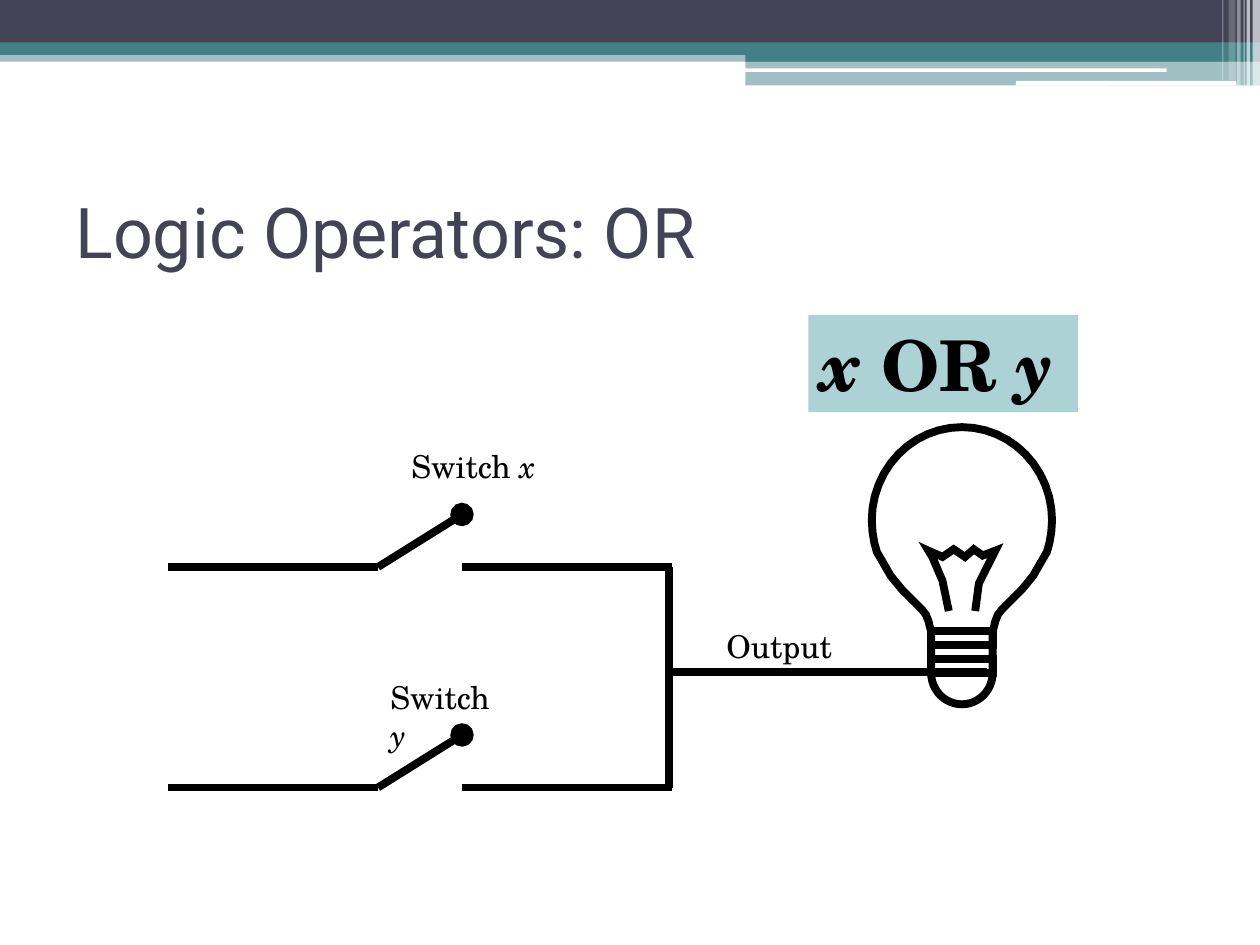
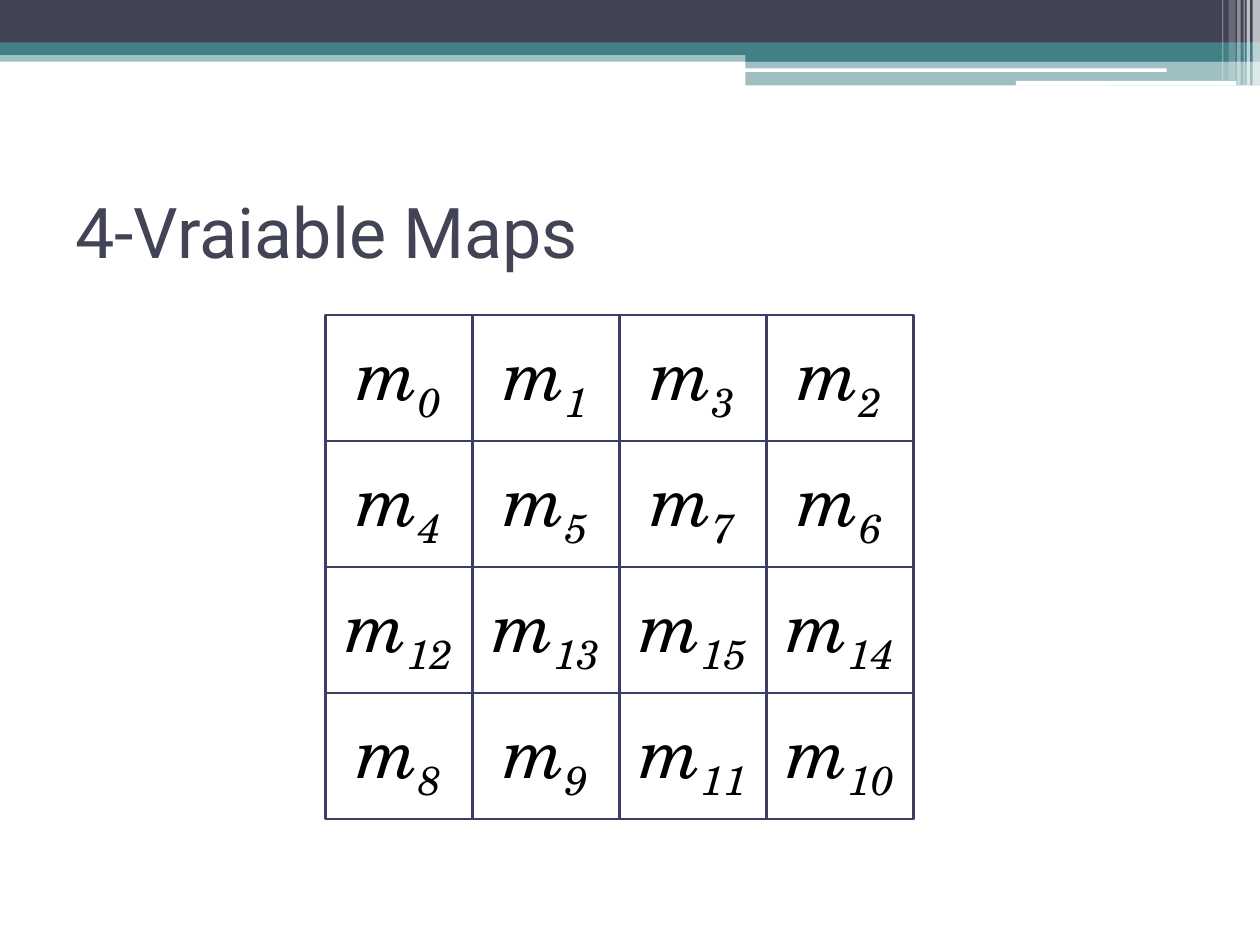
from dataclasses import dataclass
from math import cos, pi, sin

from lxml.etree import SubElement
from pptx import Presentation
from pptx.dml.color import RGBColor
from pptx.enum.shapes import MSO_CONNECTOR, MSO_SHAPE
from pptx.enum.text import MSO_ANCHOR, PP_ALIGN
from pptx.oxml.ns import qn
from pptx.util import Pt


@dataclass(frozen=True)
class Theme:
    """Colours, fonts and sizes shared by the slides."""
    navy: str = "424456"
    teal: str = "438086"
    pale: str = "ADD2D6"
    grid: str = "3D3E66"
    white: str = "FFFFFF"
    ink: str = "000000"
    title_font: str = "Roboto"
    body_font: str = "TeX Gyre Schola"
    large: int = 40
    small: int = 18
    wire: float = 4.5
    rule: float = 1.5


THEME = Theme()

# left, top, width, height, colour, opacity in percent
BANDS = [
    (0, 28.8, 720, 6.5, THEME.teal, 50),
    (0, 0, 720, 24.5, THEME.navy, 100),
    (0, 24.2, 720, 7.2, THEME.teal, 100),
    (426, 28, 294, 7.2, THEME.teal, 100),
    (426, 34.8, 294, 14, THEME.teal, 50),
]
PILLS = [(425.5, 39.1, 241.2, 2), (580.5, 46.3, 126, 2.6)]
# left, width, height, opacity of the white stripes at the right edge
STRIPES = [
    (715.8, 4.2, 49, 65), (712.3, 2, 49, 65), (710.6, 0.7, 49, 60),
    (707, 2, 49, 40), (702, 4, 46, 20), (698.4, 0.7, 46, 30),
]

# The bulb is measured from its axis and its top.
BULB_AXIS, BULB_TOP = 549.7, 244.1
DOME_X, DOME_Y = 51.5, 53.3
NECK_X, NECK_TOP, NECK_END, BASE_Y = 17.6, 116.6, 140.4, 18
SHOULDER = [
    (51.1, 59.8), (50, 66.2), (48.6, 71.3), (45.7, 76.3), (40.7, 85),
    (34.2, 92.9), (22.7, 104.4), (20.5, 107.3), (19.1, 110.9),
    (18.4, 113.8), (NECK_X, NECK_TOP),
]
FILAMENT = [
    (-7.5, 105.1), (-11.1, 87.8), (-16.9, 74.2), (-19.1, 70.6),
    (-11.1, 74.2), (-4.7, 69.8), (1.8, 74.2), (6.8, 69.8),
    (11.9, 73.4), (19.1, 70.6), (9.7, 89.3), (7.6, 105.1),
]

MINTERMS = [(0, 1, 3, 2), (4, 5, 7, 6), (12, 13, 15, 14), (8, 9, 11, 10)]


def quarter(center_y, radius_x, radius_y, start):
    """Return the points of a quarter ellipse, clockwise from an angle."""
    angles = [start + pi / 2 * step / 12 for step in range(13)]
    return [(radius_x * cos(a), center_y + radius_y * sin(a)) for a in angles]


def bulb_outline():
    """Return the closed glass outline: a right half and its mirror."""
    half = (quarter(DOME_Y, DOME_X, DOME_Y, -pi / 2) + SHOULDER
            + quarter(NECK_END, NECK_X, BASE_Y, 0))
    return half + [(-x, y) for x, y in reversed(half)]


def screw_thread():
    """Return the zigzag of four rungs across the neck."""
    gap = (NECK_END - NECK_TOP) / 3
    points = []
    for rung in range(4):
        side = -NECK_X if rung % 2 == 0 else NECK_X
        y = NECK_TOP + rung * gap
        points += [(side, y), (-side, y)]
    return points


class Painter:
    """Draws each kind of element on the current slide."""

    def __init__(self, deck, theme):
        """Keep the deck and the style."""
        self.deck = deck
        self.theme = theme
        self.page = None

    def new_page(self, title):
        """Start a slide with the shared bands and title."""
        self.page = self.deck.slides.add_slide(self.deck.slide_layouts[6])
        for left, top, width, height, color, opacity in BANDS:
            self.block(left, top, width, height, color, opacity)
        for pill in PILLS:
            self.block(*pill, self.theme.white, kind=MSO_SHAPE.ROUNDED_RECTANGLE)
        for left, width, height, opacity in STRIPES:
            self.block(left, 0, width, height, self.theme.white, opacity)
        box = self.page.shapes.add_textbox(Pt(36), Pt(90), Pt(648), Pt(84))
        para = self.frame(box, MSO_ANCHOR.MIDDLE)
        self.span(para, title, self.theme.large, self.theme.title_font,
                  self.theme.navy)

    def block(self, left, top, width, height, color=None, opacity=100,
              kind=MSO_SHAPE.RECTANGLE):
        """Add a shape without outline, filled when a colour is given."""
        shape = self.page.shapes.add_shape(
            kind, Pt(left), Pt(top), Pt(width), Pt(height))
        shape.shadow.inherit = False
        shape.line.fill.background()
        if color is None:
            shape.fill.background()
            return shape
        shape.fill.solid()
        shape.fill.fore_color.rgb = RGBColor.from_string(color)
        if opacity < 100:
            tint = next(shape.element.spPr.iter(qn("a:srgbClr")))
            SubElement(tint, qn("a:alpha"), val=str(opacity * 1000))
        return shape

    def stroke(self, shape, color, width):
        """Give a shape or connector a solid line."""
        shape.line.color.rgb = RGBColor.from_string(color)
        shape.line.width = Pt(width)

    def frame(self, shape, anchor=MSO_ANCHOR.TOP, align=PP_ALIGN.LEFT):
        """Set up wrapped text and return the first paragraph."""
        frame = shape.text_frame
        frame.word_wrap = True
        frame.vertical_anchor = anchor
        para = frame.paragraphs[0]
        para.alignment = align
        return para

    def span(self, para, text, size, font=None, color=None, italic=False,
             bold=False, subscript=False):
        """Add one run of text."""
        span = para.add_run()
        span.text = text
        span.font.size = Pt(size)
        span.font.name = font or self.theme.body_font
        span.font.color.rgb = RGBColor.from_string(color or self.theme.ink)
        span.font.italic = italic
        span.font.bold = bold
        if subscript:
            span.font._element.set("baseline", "-25000")

    def label(self, left, top, width, word, variable=""):
        """Add a small caption that may end in an italic variable."""
        box = self.page.shapes.add_textbox(Pt(left), Pt(top), Pt(width), Pt(29))
        para = self.frame(box)
        self.span(para, word, self.theme.small)
        if variable:
            self.span(para, variable, self.theme.small, italic=True)

    def formula(self, left, top, width, height):
        """Add the shaded expression above the bulb."""
        para = self.frame(self.block(left, top, width, height, self.theme.pale))
        for text, italic in (("x", True), (" OR ", False), ("y", True)):
            self.span(para, text, self.theme.large, italic=italic, bold=True)

    def wire(self, start, end, parent=None, knob=False):
        """Add a straight wire, with a round end on request."""
        shapes = (parent or self.page).shapes
        line = shapes.add_connector(
            MSO_CONNECTOR.STRAIGHT, *(Pt(n) for n in (*start, *end)))
        self.stroke(line, self.theme.ink, self.theme.wire)
        if knob:
            SubElement(line.line._get_or_add_ln(), qn("a:tailEnd"), type="oval")
        SubElement(line._element.spPr, qn("a:effectLst"))

    def switch(self, y):
        """Add an open switch with its two leads as a group."""
        group = self.page.shapes.add_group_shape()
        self.wire((96, y), (216, y), group)
        self.wire((264, y), (384, y), group)
        self.wire((216, y), (264, y - 30), group, knob=True)

    def bulb(self):
        """Add the light bulb as one outline."""
        builder = None
        for points, closed in ((bulb_outline(), True), (FILAMENT, False),
                               (screw_thread(), False)):
            places = [(Pt(BULB_AXIS + x), Pt(BULB_TOP + y)) for x, y in points]
            if builder is None:
                builder = self.page.shapes.build_freeform(*places[0])
            else:
                builder.move_to(*places[0])
            builder.add_line_segments(places[1:], close=closed)
        shape = builder.convert_to_shape()
        shape.shadow.inherit = False
        shape.fill.background()
        self.stroke(shape, self.theme.ink, self.theme.wire)
        SubElement(shape.line._get_or_add_ln(), qn("a:miter"), lim="800000")

    def minterm(self, left, top, width, height, index):
        """Add one outlined map cell with its minterm."""
        cell = self.block(left, top, width, height)
        self.stroke(cell, self.theme.grid, self.theme.rule)
        para = self.frame(cell, MSO_ANCHOR.MIDDLE, PP_ALIGN.CENTER)
        self.span(para, "m", self.theme.large, italic=True)
        self.span(para, str(index), self.theme.large, italic=True, subscript=True)


def draw_or_circuit(painter):
    """Draw two parallel switches that feed a bulb."""
    painter.new_page("Logic Operators: OR")
    painter.bulb()
    for y in (324, 450):
        painter.switch(y)
    painter.wire((382.5, 324), (382.5, 450))
    painter.wire((384, 384), (564, 384))
    painter.label(228, 252, 90, "Switch ", "x")
    painter.label(408, 355, 80, "Output")
    painter.label(216, 384, 82, "Switch ", "y")
    painter.formula(462, 180, 154, 55.5)


def draw_map(painter):
    """Draw the four by four map of minterms."""
    painter.new_page("4-Vraiable Maps")
    width, height = 84, 72
    for row, indices in enumerate(MINTERMS):
        for column, index in enumerate(indices):
            painter.minterm(186 + column * width, 180 + row * height,
                            width, height, index)


def main():
    """Build and save the deck."""
    deck = Presentation()
    deck.slide_width, deck.slide_height = Pt(720), Pt(540)
    painter = Painter(deck, THEME)
    draw_or_circuit(painter)
    draw_map(painter)
    deck.save("out.pptx")


main()
